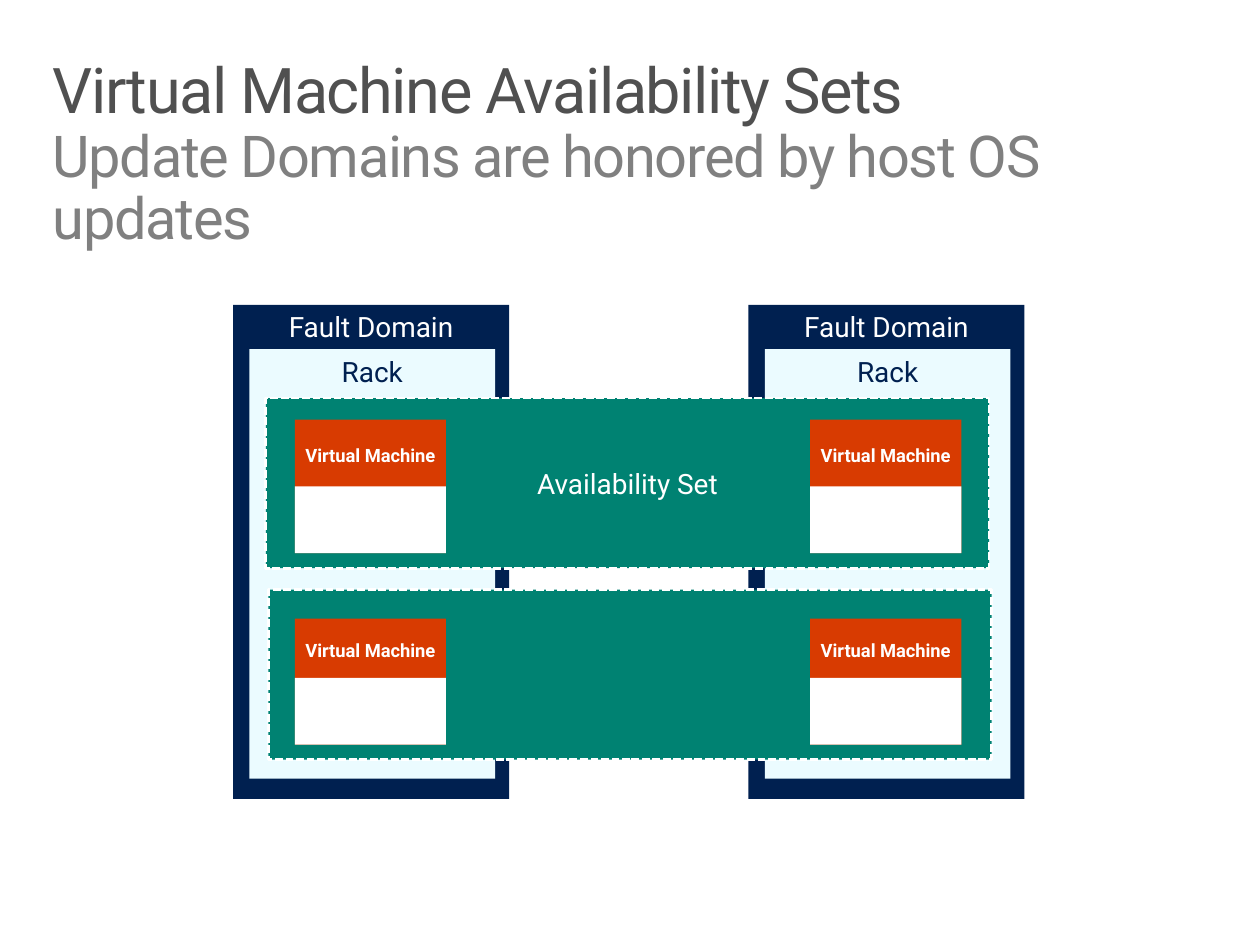
from dataclasses import dataclass

from pptx import Presentation
from pptx.dml.color import RGBColor as Color
from pptx.enum.dml import MSO_LINE as Dash
from pptx.enum.shapes import MSO_SHAPE as Shape
from pptx.enum.text import MSO_ANCHOR as Anchor, PP_ALIGN as Align
from pptx.util import Inches, Pt


@dataclass(frozen=True)
class Theme:
    font: str = "Roboto"
    title: str = "505050"
    subtitle: str = "808080"
    navy: str = "002050"
    ice: str = "EBFBFF"
    green: str = "008272"
    orange: str = "D83B01"
    white: str = "FFFFFF"
    title_size: float = 36
    subtitle_size: float = 33
    label_size: float = 16
    machine_size: float = 10.5


class Diagram:
    def __init__(self, slide, theme):
        self.slide = slide
        self.theme = theme

    def set_margins(self, frame, left, top, right, bottom):
        frame.margin_left, frame.margin_top = Inches(left), Inches(top)
        frame.margin_right, frame.margin_bottom = Inches(right), Inches(bottom)
        frame.word_wrap = True

    def heading(self, title, subtitle):
        theme = self.theme
        box = self.slide.shapes.add_textbox(
            Inches(0.22), Inches(0.32), Inches(9.56), Inches(1.53))
        self.set_margins(box.text_frame, 0.2, 0.15, 0.1, 0.05)
        para = box.text_frame.paragraphs[0]
        para.line_spacing = 0.9
        para.font.name = theme.font
        self.heading_span(para, title, theme.title_size, theme.title)
        para.add_line_break()
        self.heading_span(para, subtitle, theme.subtitle_size, theme.subtitle)

    def heading_span(self, para, text, size, color):
        span = para.add_run()
        span.text = text
        span.font.size = Pt(size)
        span.font.color.rgb = Color.from_string(color)
        span._r.get_or_add_rPr().set("spc", "-80")

    def block(self, left, top, width, height, fill):
        box = self.slide.shapes.add_shape(
            Shape.RECTANGLE, Inches(left), Inches(top), Inches(width), Inches(height))
        box.shadow.inherit = False
        box.fill.solid()
        box.fill.fore_color.rgb = Color.from_string(fill)
        box.line.fill.background()
        return box

    def label(self, box, text, color, size, anchor=Anchor.TOP, bold=False,
              margins=(0.08, 0.04, 0.08, 0.04)):
        frame = box.text_frame
        self.set_margins(frame, *margins)
        frame.vertical_anchor = anchor
        para = frame.paragraphs[0]
        para.text = text
        para.alignment = Align.CENTER
        para.font.name = self.theme.font
        para.font.size = Pt(size)
        para.font.bold = bold
        para.font.color.rgb = Color.from_string(color)

    def fault_domain(self, left):
        theme = self.theme
        domain = self.block(left, 2.42, 2.19, 3.92, theme.navy)
        self.label(domain, "Fault Domain", theme.white, theme.label_size)
        rack = self.block(left + 0.13, 2.77, 1.95, 3.41, theme.ice)
        self.label(rack, "Rack", theme.navy, theme.label_size)

    def availability_set(self, left, top, text):
        theme = self.theme
        box = self.block(left, top, 5.74, 1.35, theme.green)
        box.line.color.rgb = Color.from_string(theme.white)
        box.line.width = Pt(1.5)
        box.line.dash_style = Dash.SQUARE_DOT
        if text:
            self.label(box, text, theme.white, theme.label_size, Anchor.MIDDLE)

    def virtual_machine(self, left, top, height):
        theme = self.theme
        width, body_height = 1.2, 0.53
        machine = self.block(left, top, width, height, theme.orange)
        self.label(machine, "Virtual Machine", theme.white, theme.machine_size,
                   Anchor.MIDDLE, True, (0.08, 0, 0.08, 0.5))
        self.block(left, top + height - body_height, width, body_height, theme.white)


def main():
    deck = Presentation()
    deck.slide_width, deck.slide_height = Inches(10), Inches(7.5)
    page = deck.slides.add_slide(deck.slide_layouts[6])
    diagram = Diagram(page, Theme())

    diagram.heading("Virtual Machine Availability Sets",
                    "Update Domains are honored by host OS updates")

    domain_lefts = (1.85, 5.94)
    for left in domain_lefts:
        diagram.fault_domain(left)

    rows = (
        (2.11, 3.16, "Availability Set", 3.33, 1.06),
        (2.13, 4.68, "", 4.91, 1.0),
    )
    for set_left, set_top, text, machine_top, machine_height in rows:
        diagram.availability_set(set_left, set_top, text)
        for left in domain_lefts:
            diagram.virtual_machine(left + 0.49, machine_top, machine_height)

    deck.save("out.pptx")


if __name__ == "__main__":
    main()
